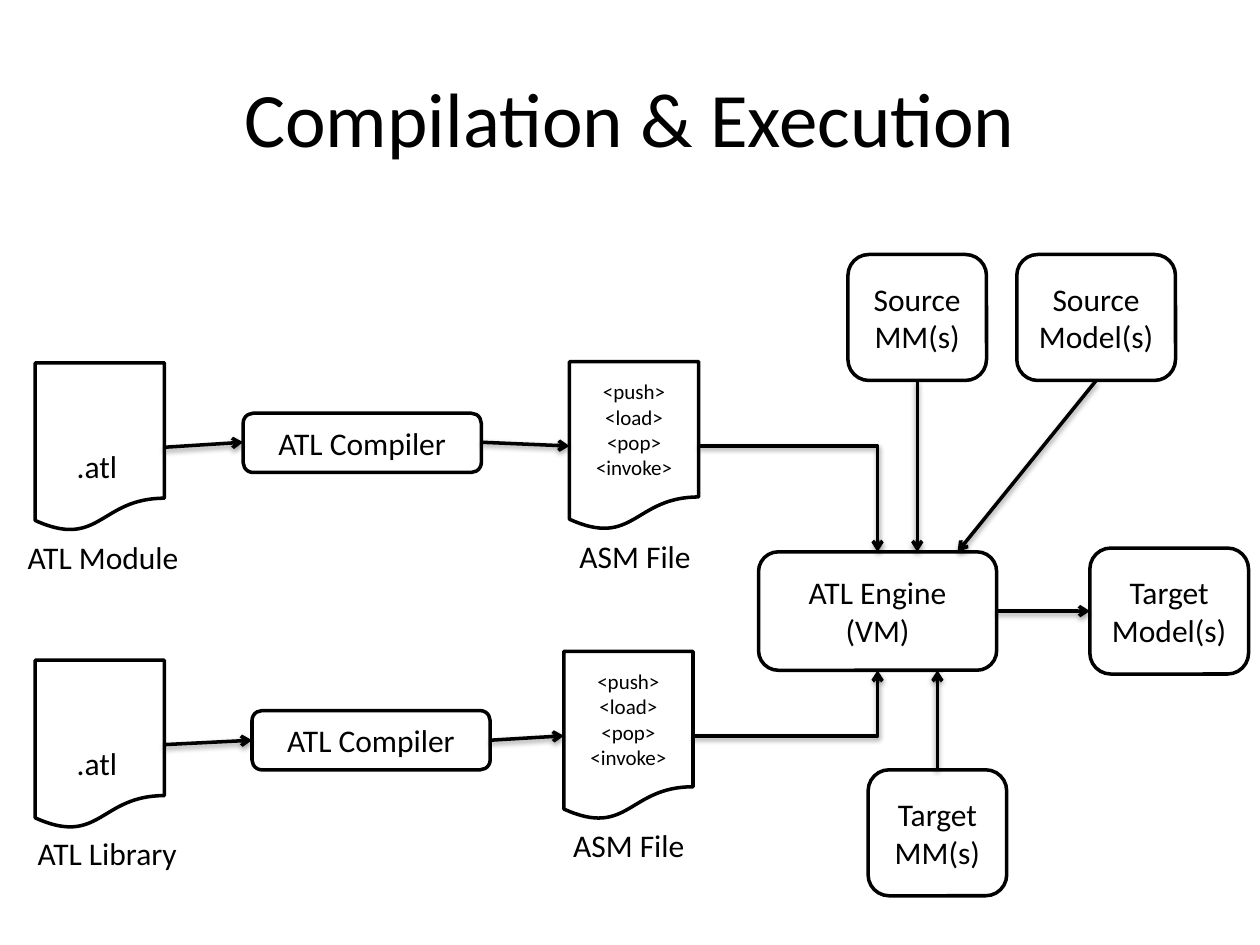
from lxml.etree import SubElement
from pptx import Presentation
from pptx.dml.color import RGBColor
from pptx.enum.shapes import MSO_CONNECTOR, MSO_SHAPE
from pptx.enum.text import MSO_ANCHOR, MSO_AUTO_SIZE, PP_ALIGN
from pptx.oxml import parse_xml
from pptx.oxml.ns import nsdecls, qn
from pptx.util import Inches, Pt

COLS, ROWS = 100, 75
FONT, BLACK, WHITE = "Calibri", "000000", "FFFFFF"

prs = Presentation()
prs.slide_width, prs.slide_height = Inches(10), Inches(7.5)
s = prs.slides.add_slide(prs.slide_layouts[5])


def grid(x, y):
    return round(prs.slide_width * x / COLS), round(prs.slide_height * y / ROWS)


def write(tf, lines, size, align):
    for i, line in enumerate(lines):
        p = tf.paragraphs[0] if i == 0 else tf.add_paragraph()
        p.alignment = align
        r = p.add_run()
        r.text = line
        r.font.name, r.font.size = FONT, Pt(size)
        r.font.color.rgb = RGBColor.from_string(BLACK)


title = s.shapes.title
title.left, title.top = grid(5, 3)
title.width, title.height = grid(90, 12.5)
title.text_frame.vertical_anchor = MSO_ANCHOR.MIDDLE
write(title.text_frame, ["Compilation & Execution"], 44, PP_ALIGN.CENTER)

DOC, BOX = MSO_SHAPE.FLOWCHART_DOCUMENT, MSO_SHAPE.ROUNDED_RECTANGLE
page, compiler, metamodel, model = (10.25, 13.4), (18.9, 4.7), (11, 10), (12.6, 10)
code = ["<push>", "<load>", "<pop>", "<invoke>"]
nodes = [
    (DOC, (2.8, 28.8), page, [], 18),
    (DOC, (2.8, 52.4), page, [], 18),
    (BOX, (19.3, 32.8), compiler, ["ATL Compiler"], 18),
    (BOX, (20, 56.4), compiler, ["ATL Compiler"], 18),
    (DOC, (45.2, 28.7), page, code, 12),
    (DOC, (44.75, 51.7), page, code, 12),
    (BOX, (60.2, 43.8), (18.9, 9.4), ["ATL Engine", "(VM)"], 18),
    (BOX, (67.3, 20.2), metamodel, ["Source", "MM(s)"], 18),
    (BOX, (68.9, 61.1), metamodel, ["Target", "MM(s)"], 18),
    (BOX, (80.7, 20.2), model, ["Source", "Model(s)"], 18),
    (BOX, (86.5, 43.5), model, ["Target", "Model(s)"], 18),
]
for kind, place, size, lines, points in nodes:
    sp = s.shapes.add_shape(kind, *grid(*place), *grid(*size))
    sp.shadow.inherit = False
    sp.fill.solid()
    sp.fill.fore_color.rgb = RGBColor.from_string(WHITE)
    sp.line.color.rgb = RGBColor.from_string(BLACK)
    sp.line.width = Pt(2)
    sp.text_frame.vertical_anchor = MSO_ANCHOR.MIDDLE
    write(sp.text_frame, lines, points, PP_ALIGN.CENTER)

labels = [
    ("ATL Module", 1.2, 42.2, 14.1),
    ("ATL Library", 2, 65.7, 13.2),
    (".atl", 5.1, 35, 5.3),
    (".atl", 5.1, 58.6, 5.3),
    ("ASM File", 45, 42.1, 10.9),
    ("ASM File", 44.5, 65.1, 10.9),
]
for text, x, y, width in labels:
    tf = s.shapes.add_textbox(*grid(x, y), *grid(width, 4)).text_frame
    tf.word_wrap = False
    tf.auto_size = MSO_AUTO_SIZE.SHAPE_TO_FIT_TEXT
    write(tf, [text], 18, PP_ALIGN.LEFT)

STRAIGHT, BENT = MSO_CONNECTOR.STRAIGHT, MSO_CONNECTOR.ELBOW
arrows = [
    (STRAIGHT, (13, 35.5), (19.3, 35.1)),
    (STRAIGHT, (13, 59.1), (20, 58.75)),
    (STRAIGHT, (38.2, 35.1), (45.2, 35.4)),
    (STRAIGHT, (38.9, 58.75), (44.75, 58.4)),
    (BENT, (55.45, 35.4), (69.65, 43.8)),
    (BENT, (55, 58.4), (69.65, 53.2)),
    (STRAIGHT, (72.8, 30.2), (72.8, 43.8)),
    (STRAIGHT, (74.4, 61.1), (74.4, 53.2)),
    (STRAIGHT, (87, 30.2), (76, 43.8)),
    (STRAIGHT, (79.1, 48.5), (86.5, 48.5)),
]
shadow = (
    f'<a:effectLst {nsdecls("a")}><a:outerShdw blurRad="{Pt(3.1)}" dist="{Pt(1.6)}" '
    f'dir="5400000" rotWithShape="0"><a:srgbClr val="{BLACK}"><a:alpha val="38000"/>'
    "</a:srgbClr></a:outerShdw></a:effectLst>"
)
for kind, start, end in arrows:
    arrow = s.shapes.add_connector(kind, *grid(*start), *grid(*end))
    arrow.line.color.rgb = RGBColor.from_string(BLACK)
    arrow.line.width = Pt(2)
    props = arrow._element.spPr
    SubElement(props.find(qn("a:ln")), qn("a:tailEnd"), type="arrow")
    props.append(parse_xml(shadow))
    if kind == BENT:
        props.find(qn("a:prstGeom")).set("prst", "bentConnector2")

prs.save("out.pptx")
